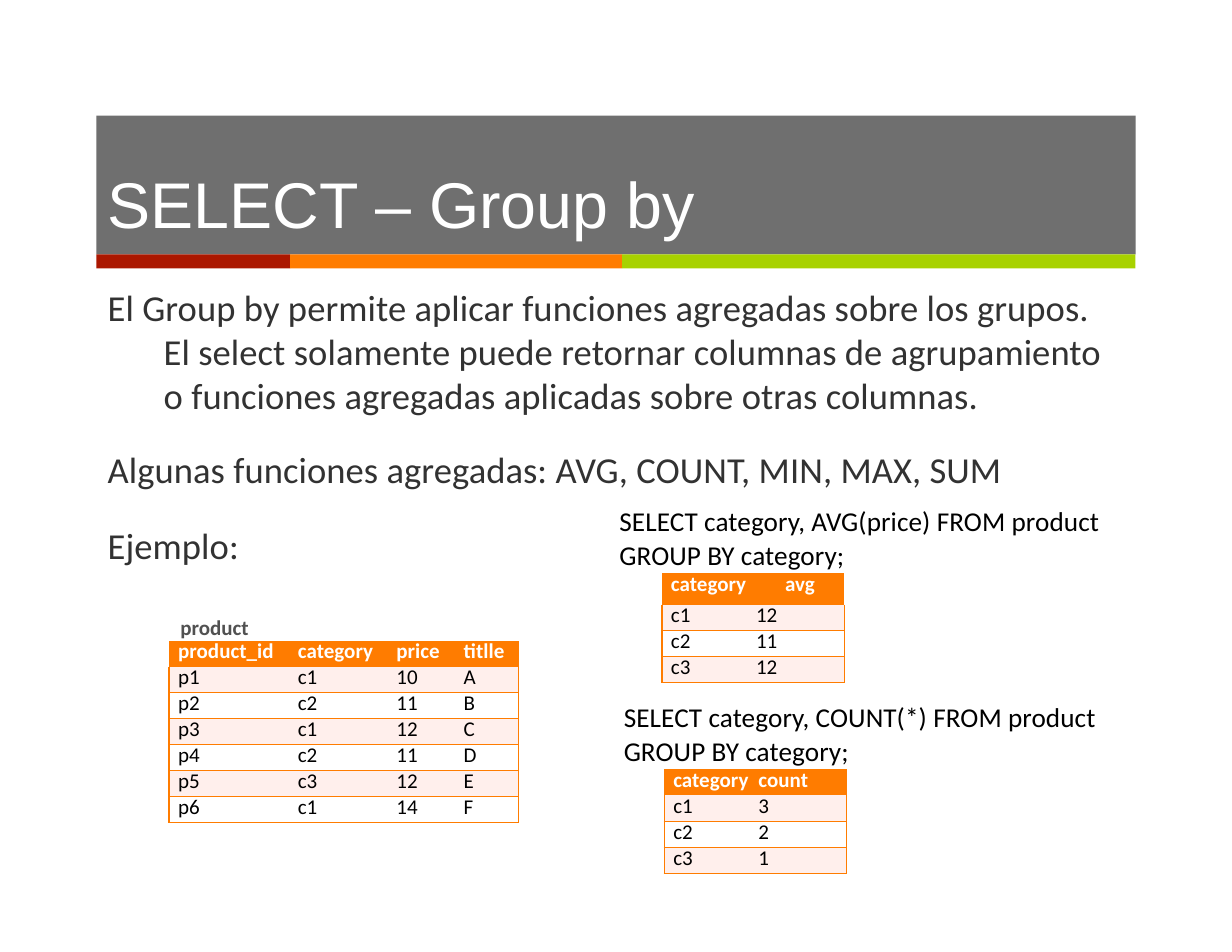
from lxml.etree import SubElement
from pptx import Presentation
from pptx.dml.color import RGBColor
from pptx.enum.shapes import MSO_SHAPE as Shape
from pptx.enum.text import MSO_ANCHOR as Anchor, MSO_AUTO_SIZE as AutoSize
from pptx.oxml.ns import qn
from pptx.util import Pt

ORANGE, BAND, WHITE, BLACK, GRAY = "FF7C00", "FFEFEC", "FFFFFF", "000000", "323232"
NO_STYLE = "{2D5ABB26-0587-4C30-8999-92F81FD0307C}"
ROW_HEIGHT = 16.7


def paint(fill, color):
    fill.solid()
    fill.fore_color.rgb = RGBColor.from_string(color)


def add_run(paragraph, text, size, color, bold=False, font="Calibri", spacing=5):
    run = paragraph.add_run()
    run.text = text
    run.font.name, run.font.size, run.font.bold = font, Pt(size), bold
    run.font.color.rgb = RGBColor.from_string(color)
    if spacing:
        run.font._element.set("spc", str(spacing))


def indent(paragraph, left, first=0):
    properties = paragraph._p.get_or_add_pPr()
    properties.set("marL", str(Pt(left)))
    properties.set("indent", str(Pt(first)))


def prepare_frame(frame, top=0):
    frame.margin_left = frame.margin_right = frame.margin_bottom = 0
    frame.margin_top = Pt(top)
    frame.word_wrap = True
    frame.auto_size = AutoSize.NONE
    frame.vertical_anchor = Anchor.TOP


def add_text(slide, box, paragraphs, size, color, bold=False, line=1.0):
    """Each paragraph is (lines, space before, left indent, first indent)."""
    frame = slide.shapes.add_textbox(*map(Pt, box)).text_frame
    prepare_frame(frame, 1)
    for index, (lines, before, left, first) in enumerate(paragraphs):
        paragraph = frame.add_paragraph() if index else frame.paragraphs[0]
        paragraph.space_before, paragraph.line_spacing = Pt(before), line
        indent(paragraph, left, first)
        for number, text in enumerate(lines):
            if number:
                paragraph.add_line_break()
            add_run(paragraph, text, size, color, bold)


def add_query(slide, left, top, function):
    lines = [f"SELECT category, {function} FROM product", "GROUP BY category;"]
    add_text(slide, (left, top, 312, 46), [(lines, 0.6, 0.7, 0)], 17.5, BLACK, line=1.04)


def add_border(cell, side):
    line = SubElement(cell._tc.get_or_add_tcPr(), qn(f"a:ln{side}"), w=str(Pt(1)))
    color = SubElement(SubElement(line, qn("a:solidFill")), qn("a:srgbClr"))
    color.set("val", ORANGE)


def format_cell(cell, text, left, header, banded, sides):
    cell.margin_left = cell.margin_right = cell.margin_top = cell.margin_bottom = 0
    for side in sides:
        add_border(cell, side)
    if header or banded:
        paint(cell.fill, ORANGE if header else BAND)
    else:
        cell.fill.background()
    paragraph = cell.text_frame.paragraphs[0]
    paragraph.line_spacing, paragraph.space_before = Pt(15.2), Pt(0.3)
    indent(paragraph, left)
    add_run(paragraph, text, 13.5, WHITE if header else BLACK, header)


def add_data_table(slide, left, top, widths, indents, rows, merge_from=None):
    last = len(widths) - 1
    shape = slide.shapes.add_table(len(rows), len(widths), Pt(left), Pt(top),
                                   Pt(sum(widths)), Pt(ROW_HEIGHT * len(rows)))
    table = shape.table
    next(shape.element.iter(qn("a:tableStyleId"))).text = NO_STYLE
    for column, width in zip(table.columns, widths):
        column.width = Pt(width)
    for r, values in enumerate(rows):
        table.rows[r].height = Pt(ROW_HEIGHT)
        for c, text in enumerate(values):
            sides = ""
            if r:
                end = c == last or c == merge_from
                sides = ("L" if c == 0 else "") + ("R" if end else "")
                sides += ("T" if r > 1 else "") + "B"
            format_cell(table.cell(r, c), text, indents[c], r == 0, r % 2 == 1, sides)
        if r and merge_from is not None:
            table.cell(r, merge_from).merge(table.cell(r, last))


def add_heading(slide):
    # Coloured strip under the title
    left = 62
    for width, color in ((124.5, "AB1700"), (213.5, ORANGE), (330, "A8D200")):
        bar = slide.shapes.add_shape(Shape.RECTANGLE, Pt(left), Pt(163.5), Pt(width), Pt(9))
        bar.shadow.inherit = False
        paint(bar.fill, color)
        bar.line.fill.background()
        left += width
    # Title on a translucent band
    title = slide.shapes.title
    title.left, title.top, title.width, title.height = map(Pt, (62, 74.3, 668, 89.2))
    paint(title.fill, GRAY)
    color = next(title.element.spPr.iter(qn("a:srgbClr")))
    SubElement(color, qn("a:alpha"), val="70000")
    prepare_frame(title.text_frame, 31)
    paragraph = title.text_frame.paragraphs[0]
    paragraph.alignment = 1
    indent(paragraph, 7.2)
    add_run(paragraph, "SELECT – Group by", 41.5, WHITE, font="Arial", spacing=0)


def main():
    presentation = Presentation()
    presentation.slide_width, presentation.slide_height = Pt(792), Pt(612)
    slide = presentation.slides.add_slide(presentation.slide_layouts[5])
    add_heading(slide)

    # Explanation
    explanation = ["El Group by permite aplicar funciones agregadas sobre los grupos.",
                   "El select solamente puede retornar columnas de agrupamiento",
                   "o funciones agregadas aplicadas sobre otras columnas."]
    functions = ["Algunas funciones agregadas: AVG, COUNT, MIN, MAX, SUM"]
    add_text(slide, (68.5, 182.3, 650, 140),
             [(explanation, 0.8, 36.7, -36), (functions, 19.2, 0.7, 0)], 23.5, GRAY)
    add_text(slide, (68.5, 335.5, 90, 30), [(["Ejemplo:"], 1.2, 0.7, 0)], 23.5, GRAY)

    # Source table
    add_text(slide, (115.2, 393.8, 50, 19), [(["product"], 1.4, 0.7, 0)],
             13.5, "515151", True)
    products = [("p1", "c1", "10", "A"), ("p2", "c2", "11", "B"), ("p3", "c1", "12", "C"),
                ("p4", "c2", "11", "D"), ("p5", "c3", "12", "E"), ("p6", "c1", "14", "F")]
    add_data_table(slide, 108.7, 411.8, (75.6, 63.4, 43.2, 42.5), (5.8, 7.2, 7.2, 7.2),
                   [("product_id", "category", "price", "titlle"), *products])

    # Queries and their results
    add_query(slide, 397.5, 322.6, "AVG(price)")
    add_data_table(slide, 425.5, 368.6, (57.6, 19.4, 40.3), (5.8, 2.9, 2.2),
                   [("category", "", "avg"), ("c1", "12", ""), ("c2", "11", ""),
                    ("c3", "12", "")], merge_from=1)
    add_query(slide, 400.3, 448.6, "COUNT(*)")
    add_data_table(slide, 427, 494.6, (57.6, 59.8), (5.8, 2.9),
                   [("category", "count"), ("c1", "3"), ("c2", "2"), ("c3", "1")])

    presentation.save("out.pptx")


main()
